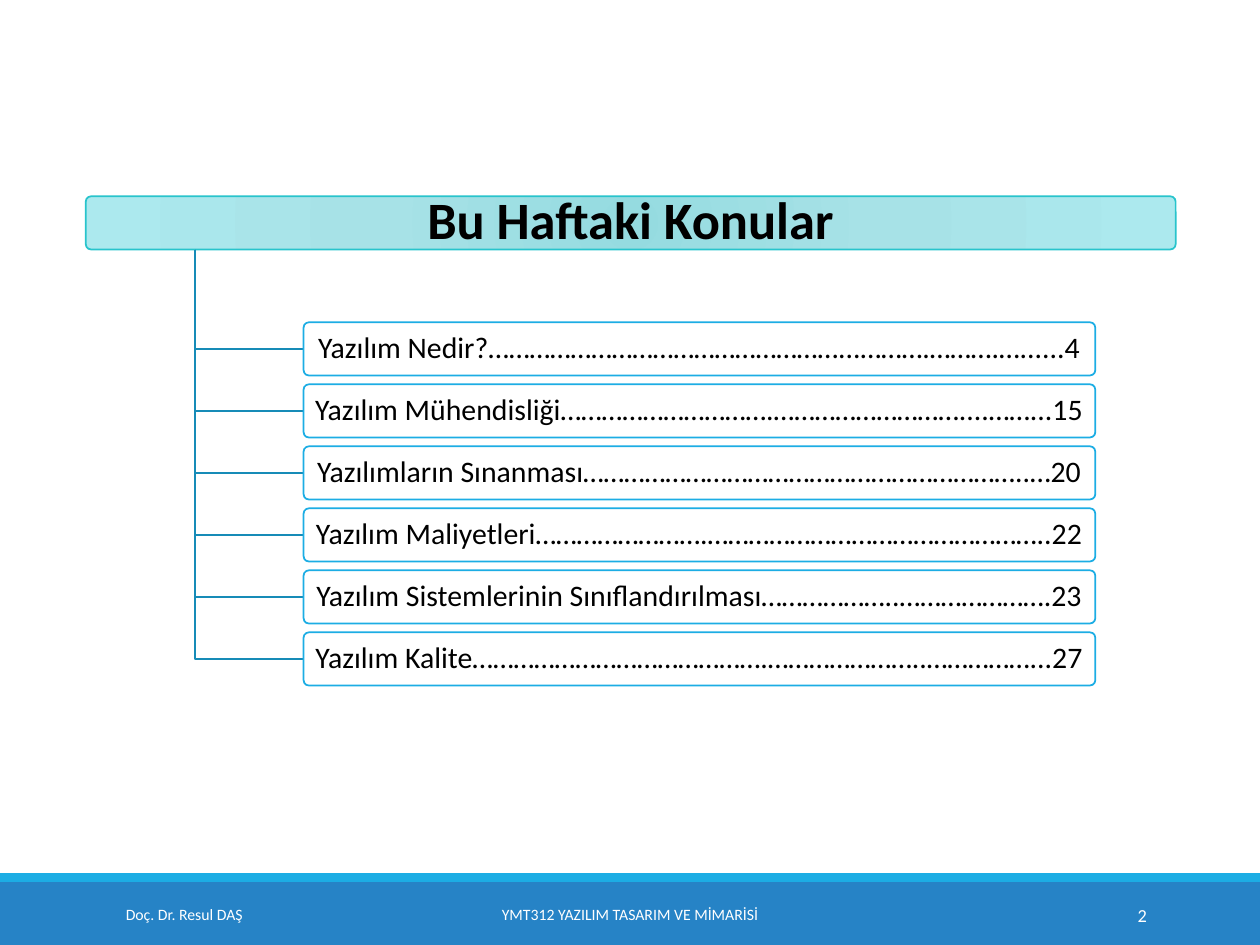
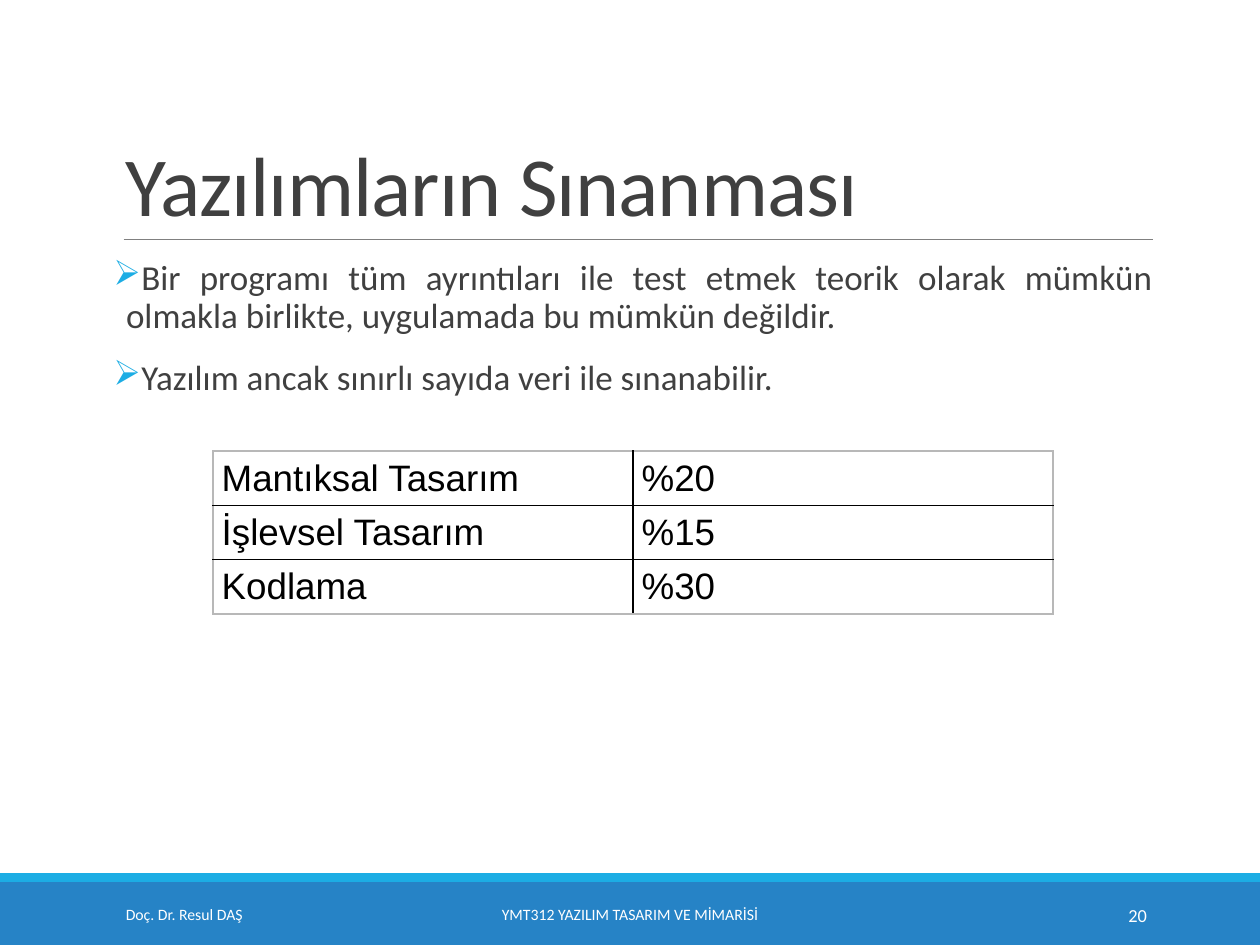
import pptx
import pptx.dml.color
import pptx.enum.shapes
import pptx.enum.text
import pptx.oxml
import pptx.oxml.ns
import pptx.util

Pt = pptx.util.Pt
ALIGN = pptx.enum.text.PP_ALIGN
ANCHOR = pptx.enum.text.MSO_ANCHOR
SHAPE = pptx.enum.shapes.MSO_SHAPE
NAMESPACE = pptx.oxml.ns.nsdecls("a")

COLORS = {
    "white": "FFFFFF", "black": "000000", "text": "404040",
    "band": "2683C6", "accent": "1CADE4", "rule": "808080",
    "heading_line": "28C4CC", "branch": "168BB7", "table_frame": "B8B8B8",
}
HEADING_STOPS = [(0, "95DBE0"), (45, "A7E2E7"), (100, "ACE9EE")]

TOPICS = [
    "Yazılım Nedir?……………………………………………...……….……….…......4",
    "Yazılım Mühendisliği………………………….………………………....……...15",
    "Yazılımların Sınanması………………………………………………………..…20",
    "Yazılım Maliyetleri…………………….…………………………………………..22",
    "Yazılım Sistemlerinin Sınıflandırılması………………..………………….23",
    "Yazılım Kalite…………………………………….…………………..……………...27",
]
TESTING_POINTS = [
    "Bir programı tüm ayrıntıları ile test etmek teorik olarak mümkün "
    "olmakla birlikte, uygulamada bu mümkün değildir.",
    "Yazılım ancak sınırlı sayıda veri ile sınanabilir.",
]
SHARES = [
    ("Mantıksal Tasarım", "%20"),
    ("İşlevsel Tasarım", "%15"),
    ("Kodlama", "%30"),
]


def color(name):
    return pptx.dml.color.RGBColor.from_string(COLORS[name])


class Deck:
    """Holds the style and the slide being filled."""

    def __init__(self):
        self.presentation = pptx.Presentation()
        self.presentation.slide_width = Pt(720)
        self.presentation.slide_height = Pt(540)
        self.slide = None

    def new_slide(self, number):
        self.slide = self.presentation.slides.add_slide(self.presentation.slide_layouts[6])
        self.box(SHAPE.RECTANGLE, 0, 504, 720, 36, fill="band")
        self.box(SHAPE.RECTANGLE, 0, 499, 720, 5, fill="accent")
        footers = [
            (64.8, 146.2, "Doç. Dr. Resul DAŞ", 9, ALIGN.LEFT),
            (217.4, 285.1, "YMT312 YAZILIM TASARIM VE MİMARİSİ", 9, ALIGN.CENTER),
            (584.6, 77.8, str(number), 10.5, ALIGN.RIGHT),
        ]
        for left, width, text, size, align in footers:
            frame = self.text_box(left, 508.3, width, 28.8, ANCHOR.MIDDLE)
            self.styled_run(frame.paragraphs[0], text, size, "white", align)

    def styled_run(self, paragraph, text, size, ink, align=ALIGN.LEFT, font="Calibri",
                   bold=False, line_spacing=None):
        paragraph.alignment = align
        if line_spacing:
            paragraph.line_spacing = line_spacing
        run = paragraph.add_run()
        run.text = text
        run.font.name = font
        run.font.size = Pt(size)
        run.font.bold = bold
        run.font.color.rgb = color(ink)
        return run

    def set_frame(self, frame, anchor, margin_x, margin_y):
        frame.word_wrap = True
        frame.vertical_anchor = anchor
        frame.margin_left = frame.margin_right = Pt(margin_x)
        frame.margin_top = frame.margin_bottom = Pt(margin_y)

    def text_box(self, left, top, width, height, anchor, margin_x=7.2):
        shape = self.slide.shapes.add_textbox(Pt(left), Pt(top), Pt(width), Pt(height))
        self.set_frame(shape.text_frame, anchor, margin_x, 3.6)
        return shape.text_frame

    def box(self, kind, left, top, width, height, fill, line=None):
        shape = self.slide.shapes.add_shape(kind, Pt(left), Pt(top), Pt(width), Pt(height))
        shape.shadow.inherit = False
        shape.fill.solid()
        shape.fill.fore_color.rgb = color(fill)
        if line:
            shape.line.color.rgb = color(line)
            shape.line.width = Pt(1)
        else:
            shape.line.fill.background()
        return shape

    def label_box(self, left, top, width, height, line, text, size, margins, bold=False):
        shape = self.box(SHAPE.ROUNDED_RECTANGLE, left, top, width, height, "white", line)
        shape.adjustments[0] = 0.1
        self.set_frame(shape.text_frame, ANCHOR.MIDDLE, *margins)
        self.styled_run(shape.text_frame.paragraphs[0], text, size, "black", ALIGN.CENTER,
                        bold=bold, line_spacing=0.9)
        return shape

    def radial_fill(self, shape, stops):
        stop_xml = "".join(
            f'<a:gs pos="{position * 1000}"><a:srgbClr val="{value}"/></a:gs>'
            for position, value in stops)
        gradient = pptx.oxml.parse_xml(
            f'<a:gradFill {NAMESPACE}><a:gsLst>{stop_xml}</a:gsLst><a:path path="circle">'
            '<a:fillToRect l="100000" t="100000" r="100000" b="100000"/>'
            '</a:path></a:gradFill>')
        properties = shape.element.spPr
        properties.replace(properties.find(pptx.oxml.ns.qn("a:solidFill")), gradient)

    def branch(self, trunk_x, start_y, end_x, end_y):
        builder = self.slide.shapes.build_freeform(Pt(trunk_x), Pt(start_y))
        builder.add_line_segments(
            [(Pt(trunk_x), Pt(end_y)), (Pt(end_x), Pt(end_y))], close=False)
        shape = builder.convert_to_shape()
        shape.shadow.inherit = False
        shape.fill.background()
        shape.line.color.rgb = color("branch")
        shape.line.width = Pt(1)

    def title(self, text):
        frame = self.text_box(64.8, 22.3, 594, 114.5, ANCHOR.BOTTOM)
        run = self.styled_run(frame.paragraphs[0], text, 48, "text", line_spacing=0.85)
        run.font._element.set("spc", "-50")
        rule = self.slide.shapes.add_connector(
            pptx.enum.shapes.MSO_CONNECTOR.STRAIGHT, Pt(70.6), Pt(136.8), Pt(658.8), Pt(136.8))
        rule.line.color.rgb = color("rule")
        rule.line.width = Pt(0.5)
        rule._element.spPr.append(pptx.oxml.parse_xml(f"<a:effectLst {NAMESPACE}/>"))

    def bullets(self, left, top, width, height, points):
        frame = self.text_box(left, top, width, height, ANCHOR.TOP, margin_x=0)
        for index, text in enumerate(points):
            paragraph = frame.add_paragraph() if index else frame.paragraphs[0]
            properties = paragraph._p.get_or_add_pPr()
            properties.set("marL", str(int(Pt(7.2))))
            properties.set("indent", str(-int(Pt(7.2))))
            for xml in (f'<a:buClr {NAMESPACE}><a:srgbClr val="{COLORS["accent"]}"/></a:buClr>',
                        f'<a:buChar {NAMESPACE} char="➢"/>'):
                properties.append(pptx.oxml.parse_xml(xml))
            if index:
                paragraph.space_before = Pt(12)
            paragraph.space_after = Pt(2)
            self.styled_run(paragraph, text, 20, "text", ALIGN.JUSTIFY, line_spacing=0.9)

    def cell_borders(self, cell, sides):
        properties = cell._tc.get_or_add_tcPr()
        for index, (side, name) in enumerate(sides.items()):
            properties.insert(index, pptx.oxml.parse_xml(
                f'<a:ln{side} {NAMESPACE} w="{int(Pt(1))}"><a:solidFill>'
                f'<a:srgbClr val="{COLORS[name]}"/></a:solidFill></a:ln{side}>'))

    def table(self, left, top, width, row_height, rows):
        row_count, column_count = len(rows), len(rows[0])
        table = self.slide.shapes.add_table(
            row_count, column_count, Pt(left), Pt(top), Pt(width),
            Pt(row_height * row_count)).table
        table.first_row = table.horz_banding = False
        for row, values in enumerate(rows):
            for column, text in enumerate(values):
                cell = table.cell(row, column)
                cell.fill.background()
                cell.vertical_anchor = ANCHOR.MIDDLE
                cell.margin_left = cell.margin_right = Pt(5)
                cell.margin_top = cell.margin_bottom = Pt(2.9)
                self.styled_run(cell.text_frame.paragraphs[0], text, 21, "black", font="Arial")
                on_frame = {"L": column == 0, "R": column == column_count - 1,
                            "T": row == 0, "B": row == row_count - 1}
                self.cell_borders(cell, {side: "table_frame" if outer else "black"
                                         for side, outer in on_frame.items()})


def add_topics_slide(deck):
    deck.new_slide(2)
    box_height = 30.4
    heading_top = 112.2
    topic_left, topic_top, topic_pitch = 173.5, 184.2, 35.43

    # Heading bar
    heading = deck.label_box(49, heading_top, 622.8, box_height, "heading_line",
                             "Bu Haftaki Konular", 30, (4.3, 2.9), bold=True)
    deck.radial_fill(heading, HEADING_STOPS)

    # Topics hanging from the heading
    for index, topic in enumerate(TOPICS):
        top = topic_top + index * topic_pitch
        deck.branch(111.4, heading_top + box_height, topic_left, top + box_height / 2)
        deck.label_box(topic_left, top, 452.4, box_height, "accent", topic, 17, (2.9, 1.4))


def add_testing_slide(deck):
    deck.new_slide(20)
    deck.title("Yazılımların Sınanması")
    deck.bullets(64.8, 145.4, 594, 316.8, TESTING_POINTS)
    deck.table(121.7, 257.8, 480, 30.5, SHARES)


def main():
    deck = Deck()
    add_topics_slide(deck)
    add_testing_slide(deck)
    deck.presentation.save("out.pptx")


if __name__ == "__main__":
    main()
